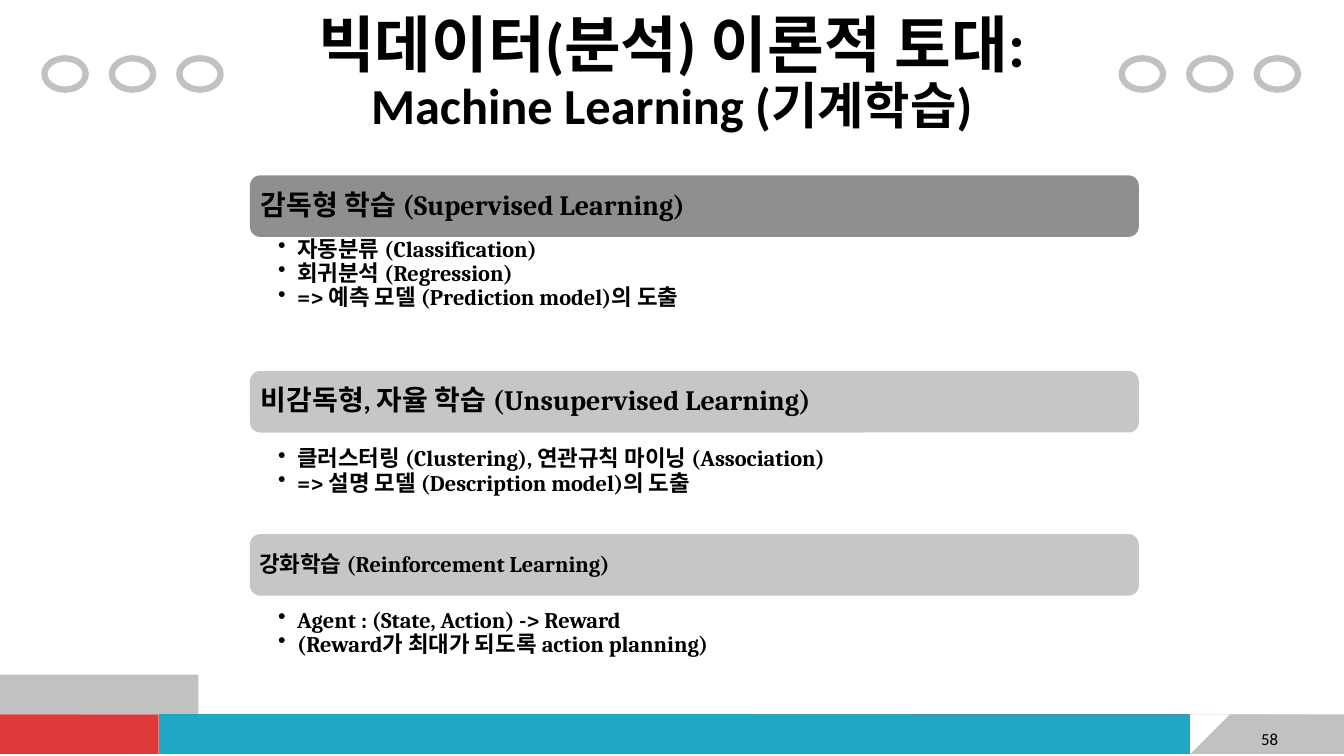
import pptx
import pptx.util
import pptx.dml.color
import pptx.enum.shapes
import pptx.enum.text
import pptx.oxml
import pptx.oxml.ns

Cm = pptx.util.Cm
Pt = pptx.util.Pt
RGBColor = pptx.dml.color.RGBColor
MSO_SHAPE = pptx.enum.shapes.MSO_SHAPE
PP_ALIGN = pptx.enum.text.PP_ALIGN
MSO_ANCHOR = pptx.enum.text.MSO_ANCHOR

BLACK = RGBColor(0x00, 0x00, 0x00)
DARK_GRAY = RGBColor(0x8F, 0x8F, 0x8F)
MID_GRAY = RGBColor(0xC6, 0xC6, 0xC6)
GRAY = RGBColor(0xC1, 0xC1, 0xC1)
LIGHT_GRAY = RGBColor(0xDA, 0xDA, 0xDA)
RED = RGBColor(0xDF, 0x39, 0x39)
TEAL = RGBColor(0x21, 0xA6, 0xC5)
ORANGE = RGBColor(0xF0, 0xA7, 0x3C)

FOOTER_BANDS = [
    (GRAY, [(0, 17.3), (4.55, 17.37), (5.05, 17.7), (1.93, 17.7), (1.88, 17.88), (0, 17.88)]),
    (RED, [(0, 17.98), (1.85, 17.98), (1.73, 18.26), (3.81, 18.26), (4.04, 19.05), (0, 19.05)]),
    (LIGHT_GRAY, [(2.03, 17.75), (18.67, 17.78), (18.42, 18.11), (1.85, 18.19)]),
    (TEAL, [(3.91, 18.29), (30.35, 18.19), (30.07, 19.05), (4.11, 19.05)]),
    (ORANGE, [(18.9, 17.58), (22.78, 17.65), (22.89, 18.11), (18.54, 18.14)]),
    (RED, [(22.83, 17.65), (31.98, 17.68), (30.99, 18.06), (23.01, 18.11)]),
    (TEAL, [(32.18, 17.68), (33.38, 17.68), (32.31, 18.08), (31.17, 18.08)]),
    (GRAY, [(30.51, 18.16), (32.36, 18.19), (33.63, 17.68), (33.87, 17.68),
            (33.87, 19.05), (30.23, 19.05)]),
]

SECTIONS = [
    (4.42, DARK_GRAY, 20, "감독형 학습 (Supervised Learning)", 5.94, 4.37,
     ["자동분류 (Classification)", "회귀분석 (Regression)",
      "=> 예측 모델 (Prediction model)의 도출"]),
    (9.35, MID_GRAY, 20, "비감독형, 자율 학습 (Unsupervised Learning)", 11.23, 1.88,
     ["클러스터링 (Clustering), 연관규칙 마이닝 (Association)",
      "=> 설명 모델 (Description model)의 도출"]),
    (13.46, MID_GRAY, 16, "강화학습 (Reinforcement Learning)", 15.29, 1.57,
     ["Agent : (State, Action) -> Reward", "(Reward가 최대가 되도록 action planning)"]),
]
SECTION_LEFT = 6.3
SECTION_WIDTH = 22.4


def add_run(p, text, size, font, bold=True):
    """Add one formatted run to a paragraph."""
    r = p.add_run()
    r.text = text
    r.font.size = Pt(size)
    r.font.name = font
    r.font.bold = bold
    r.font.color.rgb = BLACK


def set_margins(tf, left, top, right, bottom):
    """Set the four insets of a text frame in centimetres."""
    tf.margin_left, tf.margin_top = Cm(left), Cm(top)
    tf.margin_right, tf.margin_bottom = Cm(right), Cm(bottom)


def add_text_frame(s, left, top, width, height, anchor=MSO_ANCHOR.TOP):
    """Add a wrapping text box and return its text frame."""
    tf = s.shapes.add_textbox(Cm(left), Cm(top), Cm(width), Cm(height)).text_frame
    tf.word_wrap = True
    tf.vertical_anchor = anchor
    return tf


def add_band(s, color, points):
    """Add one polygon of the footer."""
    builder = s.shapes.build_freeform(*points[0], scale=Cm(1))
    builder.add_line_segments(points[1:], close=True)
    sp = builder.convert_to_shape()
    sp.shadow.inherit = False
    sp.fill.solid()
    sp.fill.fore_color.rgb = color
    sp.line.fill.background()


def add_rings(s, left):
    """Add a row of three rings."""
    for i in range(3):
        sp = s.shapes.add_shape(MSO_SHAPE.OVAL, Cm(left + 1.7 * i), Cm(1.47), Cm(1.04), Cm(0.79))
        sp.shadow.inherit = False
        sp.fill.background()
        sp.line.color.rgb = GRAY
        sp.line.width = Pt(4.5)


def add_title(s):
    """Add the two-line title."""
    p = add_text_frame(s, 5.92, 0.3, 22.02, 3.18, MSO_ANCHOR.MIDDLE).paragraphs[0]
    p.alignment = PP_ALIGN.CENTER
    p.line_spacing = 0.9
    add_run(p, "빅데이터(분석) 이론적 토대:", 44, "Calibri")
    p.add_line_break()
    add_run(p, "Machine Learning (기계학습)", 36, "Calibri")


def add_heading(s, top, color, size, text):
    """Add the rounded heading bar of a section."""
    sp = s.shapes.add_shape(MSO_SHAPE.ROUNDED_RECTANGLE, Cm(SECTION_LEFT), Cm(top),
                            Cm(SECTION_WIDTH), Cm(1.55))
    sp.shadow.inherit = False
    sp.fill.solid()
    sp.fill.fore_color.rgb = color
    sp.line.fill.background()
    tf = sp.text_frame
    tf.word_wrap = True
    tf.vertical_anchor = MSO_ANCHOR.MIDDLE
    inset = size / 100
    set_margins(tf, inset, inset, inset, inset)
    p = tf.paragraphs[0]
    p.alignment = PP_ALIGN.LEFT
    p.line_spacing = 0.9
    add_run(p, text, size, "Cambria")


def add_bullets(s, top, height, items):
    """Add the bulleted list of a section."""
    tf = add_text_frame(s, SECTION_LEFT, top, SECTION_WIDTH, height)
    set_margins(tf, 0.71, 0.05, 0.3, 0.05)
    for i, item in enumerate(items):
        p = tf.add_paragraph() if i else tf.paragraphs[0]
        p.level = 1
        p.line_spacing = 0.9
        pPr = p._p.get_or_add_pPr()
        pPr.set("marL", str(Cm(0.48)))
        pPr.set("indent", str(-Cm(0.48)))
        bullet = pptx.oxml.parse_xml(
            "<a:buChar %s char='•'/>" % pptx.oxml.ns.nsdecls("a"))
        pPr.append(bullet)
        add_run(p, item, 16, "Cambria")


def add_page_number(s):
    """Add the slide number."""
    p = add_text_frame(s, 30.76, 18.29, 1.7, 0.64, MSO_ANCHOR.MIDDLE).paragraphs[0]
    p.alignment = PP_ALIGN.RIGHT
    add_run(p, "58", 12, "Calibri", bold=False)


def main():
    """Build and save the slide."""
    prs = pptx.Presentation()
    prs.slide_width, prs.slide_height = Cm(33.87), Cm(19.05)
    s = prs.slides.add_slide(prs.slide_layouts[6])
    for color, points in FOOTER_BANDS:
        add_band(s, color, points)
    for left in (1.12, 28.27):
        add_rings(s, left)
    add_title(s)
    for top, color, size, heading, list_top, list_height, items in SECTIONS:
        add_heading(s, top, color, size, heading)
        add_bullets(s, list_top, list_height, items)
    add_page_number(s)
    prs.save("out.pptx")


if __name__ == "__main__":
    main()
